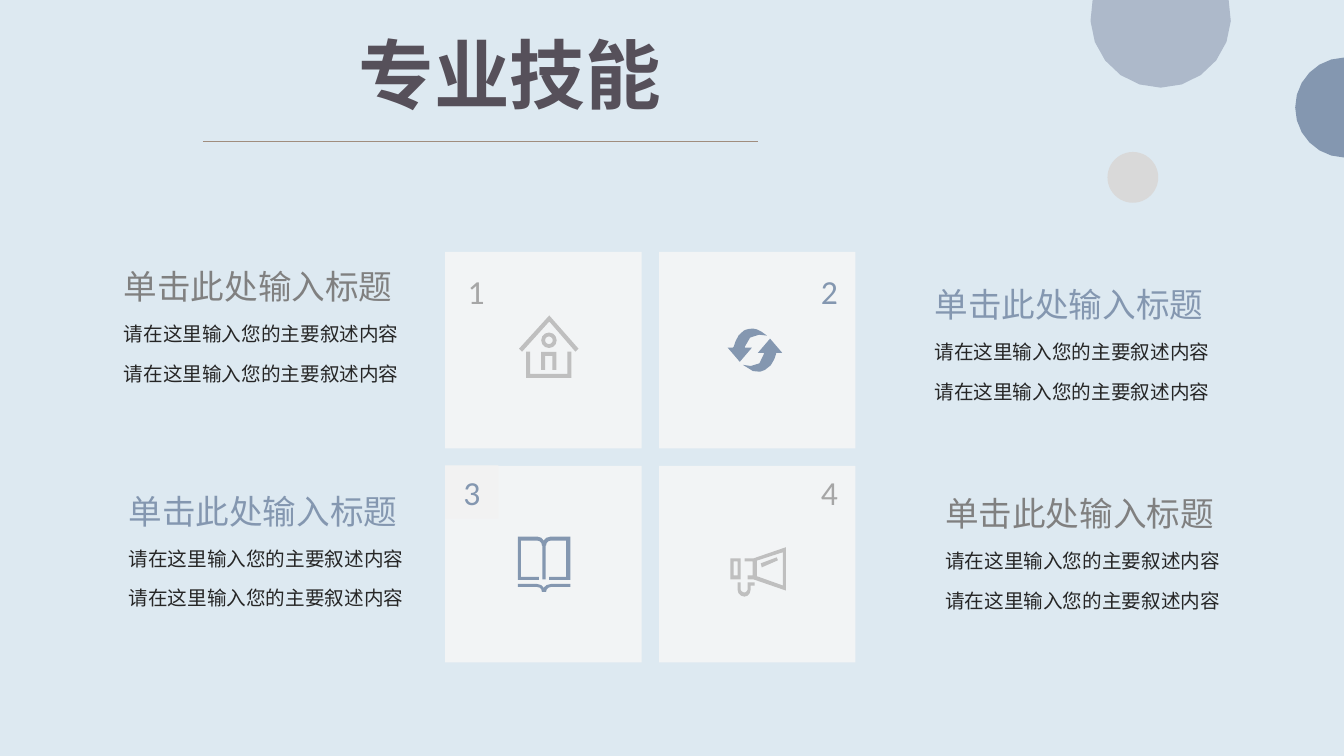
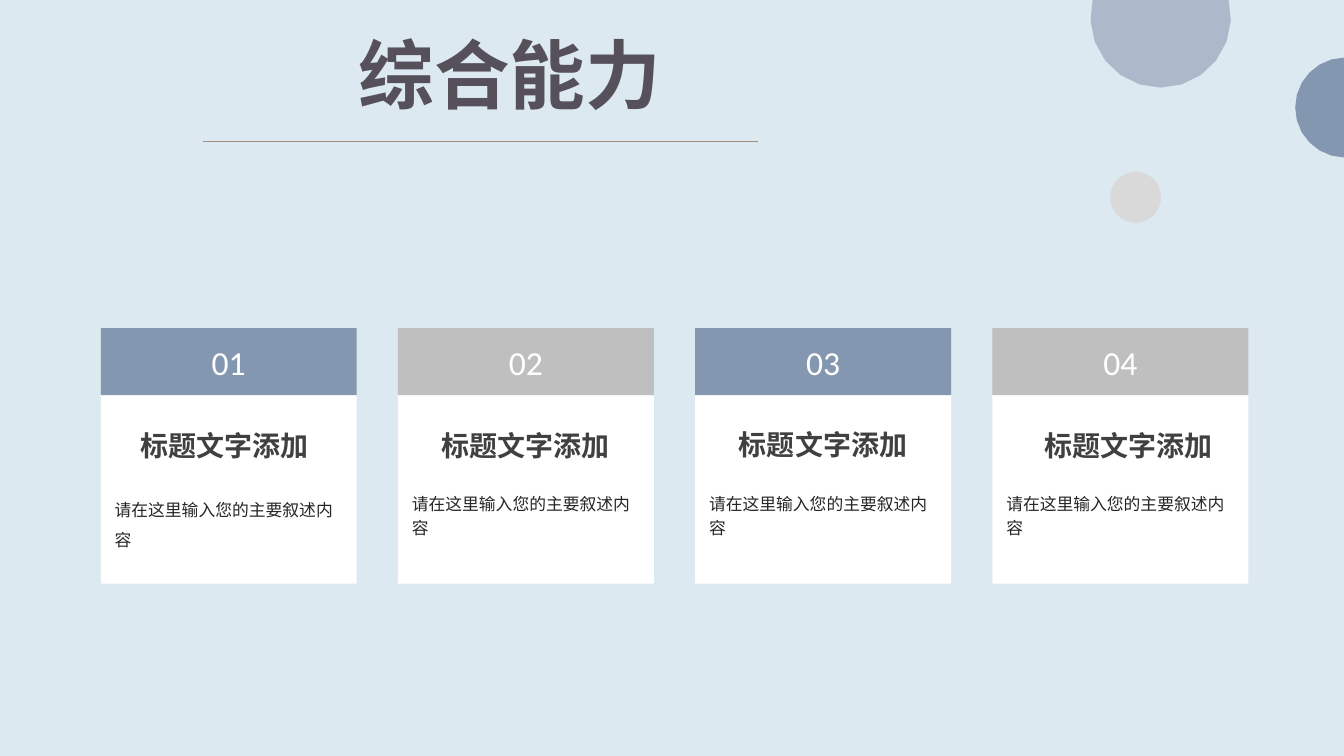
import math

import pptx
import pptx.dml.color
import pptx.enum.shapes
import pptx.enum.text
import pptx.oxml
import pptx.oxml.ns
import pptx.util

Cm = pptx.util.Cm
Pt = pptx.util.Pt
MSO_SHAPE = pptx.enum.shapes.MSO_SHAPE
ALIGN = pptx.enum.text.PP_ALIGN
ANCHOR = pptx.enum.text.MSO_ANCHOR
hex_color = pptx.dml.color.RGBColor.from_string

FONT = "Calibri"
BACKGROUND = "DDE9F1"
BLUE = "8497B0"
GREY = "BFBFBF"
HEADING_GREY = "808080"
NUMBER_GREY = "A6A6A6"
TILE = "F2F4F5"
BODY = "262626"
WHITE = "FFFFFF"
DETAIL = "请在这里输入您的主要叙述内容"


def paint(shape, color):
    """Give a shape a flat fill without line or shadow."""
    shape.shadow.inherit = False
    shape.fill.solid()
    shape.fill.fore_color.rgb = hex_color(color)
    shape.line.fill.background()
    return shape


def write(shape, lines, align=ALIGN.LEFT, anchor=ANCHOR.TOP, spacing=1, before=0, wrap=True):
    """Write one paragraph per (text, size, color, bold) line."""
    frame = shape.text_frame
    frame.word_wrap = wrap
    frame.vertical_anchor = anchor
    for index, (text, size, color, bold) in enumerate(lines):
        paragraph = frame.add_paragraph() if index else frame.paragraphs[0]
        paragraph.alignment = align
        paragraph.line_spacing = spacing
        if index:
            paragraph.space_before = Pt(before)
        run = paragraph.add_run()
        run.text = text
        run.font.name = FONT
        run.font.size = Pt(size)
        run.font.bold = bold
        run.font.color.rgb = hex_color(color)


presentation = pptx.Presentation()
presentation.slide_width = Cm(33.87)
presentation.slide_height = Cm(19.05)
master_fill = presentation.slide_master.background.fill
master_fill.solid()
master_fill.fore_color.rgb = hex_color(BACKGROUND)

# Shared title, rule and corner circles: title, left and top of the small circle
ARC_STEPS = 12
for title, dot_x, dot_y in [("专业技能", 27.91, 3.83), ("综合能力", 27.98, 4.33)]:
    slide = presentation.slides.add_slide(presentation.slide_layouts[6])
    rule = slide.shapes.add_connector(
        pptx.enum.shapes.MSO_CONNECTOR.STRAIGHT, Cm(5.11), Cm(3.56), Cm(19.1), Cm(3.56))
    rule.line.color.rgb = hex_color("A08D7E")
    rule.line.width = Pt(0.5)
    rule._element.spPr.append(pptx.oxml.parse_xml(
        "<a:effectLst %s/>" % pptx.oxml.ns.nsdecls("a")))

    heading = slide.shapes.add_textbox(Cm(8.79), Cm(0.58), Cm(8.26), Cm(2.57))
    write(heading, [(title, 54, "56505A", True)], wrap=False)

    # Circles cut off at the slide edge: centre, radius, first and last degree of the arc
    for center_x, center_y, radius, start, end, color in [
            (29.25, 0.44, 1.77, -14.4, 194.4, "ADB9CA"),
            (33.9, 2.71, 1.26, 91.4, 268.6, BLUE)]:
        arc = []
        for step in range(ARC_STEPS + 1):
            angle = math.radians(start + (end - start) * step / ARC_STEPS)
            arc.append((Cm(center_x + radius * math.cos(angle)),
                        Cm(center_y + radius * math.sin(angle))))
        builder = slide.shapes.build_freeform(*arc[0])
        builder.add_line_segments(arc[1:])
        paint(builder.convert_to_shape(), color)
    paint(slide.shapes.add_shape(
        MSO_SHAPE.OVAL, Cm(dot_x), Cm(dot_y), Cm(1.28), Cm(1.28)), "D9D9D9")

skills, abilities = presentation.slides

# Skills: four tiles with a number and a text block each
TILE_LEFT, TILE_TOP, TILE_SIZE, TILE_PITCH = 11.22, 6.35, 4.95, 5.39
NUMBER_SIZE = 1.34
tiles = [  # number left, top, colour; block left, top, heading colour
    (11.33, 6.67, NUMBER_GREY, 2.87, 6.08, HEADING_GREY),
    (20.23, 6.67, BLUE, 23.3, 6.53, BLUE),
    (11.22, 11.73, BLUE, 2.99, 11.73, BLUE),
    (20.23, 11.73, NUMBER_GREY, 23.57, 11.8, HEADING_GREY),
]
for index, (number_x, number_y, number_color, block_x, block_y, block_color) in enumerate(tiles):
    row, column = divmod(index, 2)
    paint(skills.shapes.add_shape(
        MSO_SHAPE.RECTANGLE, Cm(TILE_LEFT + column * TILE_PITCH),
        Cm(TILE_TOP + row * TILE_PITCH), Cm(TILE_SIZE), Cm(TILE_SIZE)), TILE)
    number_place = Cm(number_x), Cm(number_y), Cm(NUMBER_SIZE), Cm(NUMBER_SIZE)
    if index == 2:
        number = paint(skills.shapes.add_shape(MSO_SHAPE.RECTANGLE, *number_place), "F2F2F2")
    else:
        number = skills.shapes.add_textbox(*number_place)
    write(number, [(str(index + 1), 24, number_color, False)], ALIGN.CENTER, ANCHOR.MIDDLE)
    block = skills.shapes.add_textbox(Cm(block_x), Cm(block_y), Cm(7.47), Cm(3.84))
    write(block, [("单击此处输入标题", 24, block_color, False),
                  (DETAIL, 14, BODY, False),
                  (DETAIL, 14, BODY, False)], spacing=1.5, before=2.8)

# Icons: each part is a list of contours on a fine grid;
# two numbers are a corner, six are a Bezier curve
ICON_UNIT = Cm(0.0254)
CURVE_STEPS = 3
house = [
    [[(52, 62), (7, 62), (7, 36), (11, 36), (11, 58), (48, 58), (48, 36), (52, 36)]],
    [[(56, 36), (30, 6), (3, 36), (0, 33), (30, 0), (59, 33)]],
    [[(37, 54), (33, 54), (33, 40), (26, 40), (26, 54), (22, 54), (22, 36), (37, 36)]],
]
arrows = [
    [[(42, 10), (30, 24), (36, 24), (36, 25), (35, 39, 21, 38, 15, 36),
      (27, 46, 33, 43, 37, 41), (44, 38, 47, 29, 48, 25), (48, 24), (54, 24)],
     [(25, 0), (21, 0, 18, 1, 16, 2), (10, 5, 7, 14, 6, 18), (5, 19), (0, 19), (12, 33),
      (24, 19), (17, 19), (17, 18), (19, 5, 33, 5, 39, 7), (33, 2, 28, 0, 25, 0)]],
]
book = [
    [[(27, 55), (24, 55), (24, 52, 22, 50, 19, 50), (0, 50), (0, 47), (19, 47),
      (24, 47, 27, 51, 27, 55)]],
    [[(28, 55), (24, 55), (24, 51, 28, 47, 33, 47), (52, 47), (52, 50), (33, 50),
      (30, 50, 28, 52, 28, 55)]],
    [[(21, 43), (0, 43), (0, 0), (19, 0), (24, 0, 27, 4, 27, 9), (24, 9),
      (24, 6, 22, 4, 19, 4), (3, 4), (3, 40), (21, 40)]],
    [[(52, 43), (31, 43), (31, 40), (48, 40), (48, 4), (33, 4), (30, 4, 28, 6, 28, 9),
      (24, 9), (24, 4, 28, 0, 33, 0), (52, 0)]],
]
megaphone = [
    [[(26, 32), (17, 32), (17, 28), (22, 28), (22, 14), (14, 14), (14, 11), (26, 11)]],
    [[(55, 43), (23, 32), (24, 28), (52, 38), (52, 5), (24, 14), (23, 11), (55, 0)]],
    [[(31, 20), (30, 16), (46, 10), (47, 13)]],
    [[(10, 32), (0, 32), (0, 11), (10, 11)], [(3, 28), (7, 28), (7, 14), (3, 14)]],
    [[(14, 49), (10, 49, 7, 46, 7, 42), (7, 35), (10, 35), (10, 42),
      (10, 43, 12, 45, 14, 45), (15, 45, 17, 43, 17, 42), (17, 35), (24, 35), (24, 38),
      (20, 38), (20, 42), (20, 46, 17, 49, 14, 49)]],
]
for icon, icon_x, icon_y, color in [(house, 13.08, 7.95, GREY), (arrows, 18.34, 8.28, BLUE),
                                    (book, 13.05, 13.52, BLUE), (megaphone, 18.41, 13.79, GREY)]:
    for part in icon:
        builder = None
        for contour in part:
            points = [contour[0]]
            for segment in contour[1:]:
                if len(segment) == 2:
                    points.append(segment)
                    continue
                x0, y0 = points[-1]
                x1, y1, x2, y2, x3, y3 = segment
                for step in range(1, CURVE_STEPS + 1):
                    t = step / CURVE_STEPS
                    a, b, c, d = (1 - t) ** 3, 3 * t * (1 - t) ** 2, 3 * t * t * (1 - t), t ** 3
                    points.append((a * x0 + b * x1 + c * x2 + d * x3,
                                   a * y0 + b * y1 + c * y2 + d * y3))
            points = [(x * ICON_UNIT, y * ICON_UNIT) for x, y in points]
            if builder is None:
                builder = skills.shapes.build_freeform(*points[0])
            else:
                builder.move_to(*points[0])
            builder.add_line_segments(points[1:])
        paint(builder.convert_to_shape(Cm(icon_x), Cm(icon_y)), color)

house_window = paint(skills.shapes.add_shape(
    MSO_SHAPE.DONUT, Cm(13.64), Cm(8.38), Cm(0.39), Cm(0.39)), GREY)
house_window.adjustments[0] = 0.25
paint(skills.shapes.add_shape(
    MSO_SHAPE.RECTANGLE, Cm(13.67), Cm(13.74), Cm(0.08), Cm(0.86)), BLUE)  # book spine

# Abilities: four numbered cards
CARD_LEFT, CARD_PITCH, CARD_WIDTH = 2.54, 7.49, 6.45
cards = [  # header colour, title indent, title top, line spacing
    (BLUE, 0.22, 10.67, 1.5),
    (GREY, 0.33, 10.67, 1.2),
    (BLUE, 0.33, 10.65, 1.2),
    (GREY, 0.54, 10.67, 1.2),
]
for index, (color, title_indent, title_top, spacing) in enumerate(cards):
    left = CARD_LEFT + index * CARD_PITCH
    paint(abilities.shapes.add_shape(
        MSO_SHAPE.RECTANGLE, Cm(left), Cm(9.96), Cm(CARD_WIDTH), Cm(4.75)), WHITE)
    card_title = abilities.shapes.add_textbox(
        Cm(left + title_indent), Cm(title_top), Cm(5.79), Cm(1.12))
    write(card_title, [("标题文字添加", 20, "404040", True)], ALIGN.CENTER)
    card_text = abilities.shapes.add_textbox(Cm(left + 0.1), Cm(12.22), Cm(6.25), Cm(1.7))
    write(card_text, [(DETAIL, 12, BODY, False)], spacing=spacing)
    header = paint(abilities.shapes.add_shape(
        MSO_SHAPE.RECTANGLE, Cm(left), Cm(8.27), Cm(CARD_WIDTH), Cm(1.69)), color)
    write(header, [(f"{index + 1:02d}", 24, WHITE, False)], ALIGN.CENTER, ANCHOR.MIDDLE)

presentation.save("out.pptx")
